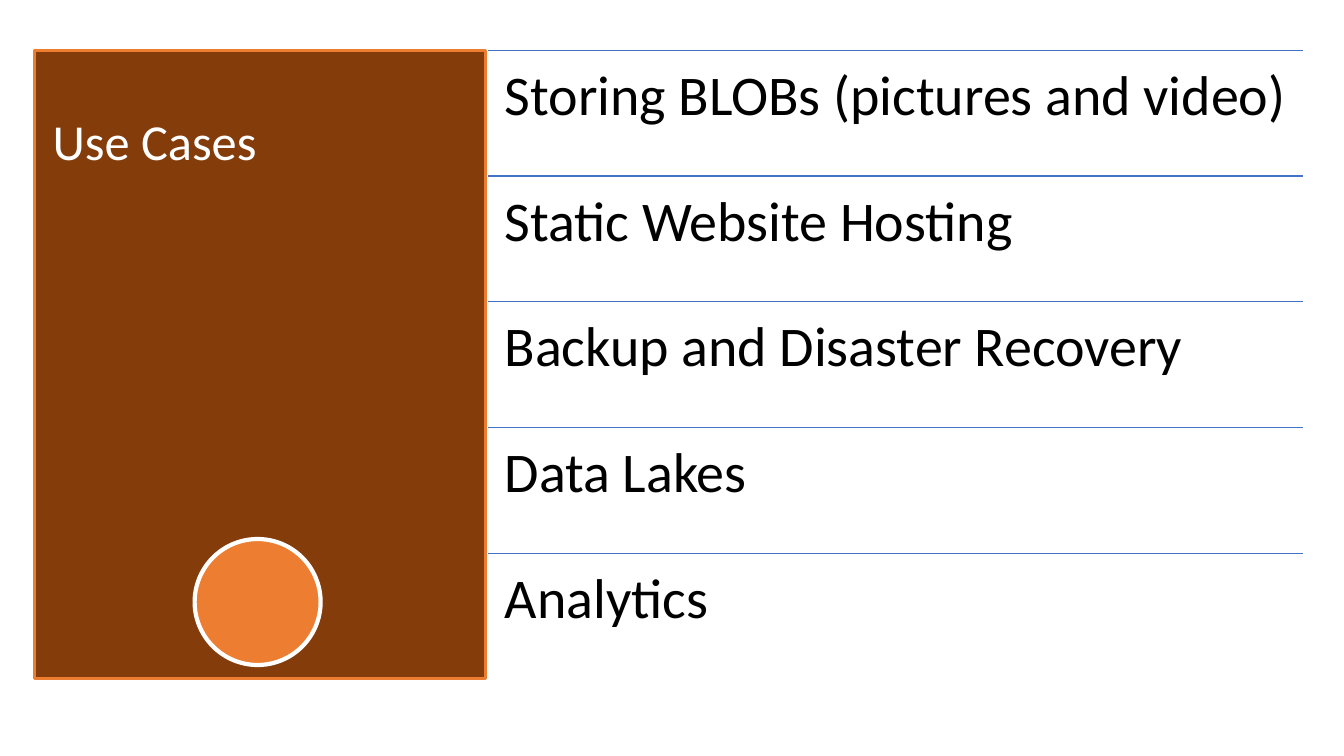
import pptx
import pptx.dml.color
import pptx.enum.shapes
import pptx.enum.text
import pptx.oxml.ns
import pptx.util
from dataclasses import dataclass
from lxml import etree

Pt = pptx.util.Pt
Shape = pptx.enum.shapes.MSO_SHAPE
Anchor = pptx.enum.text.MSO_ANCHOR


@dataclass(frozen=True)
class Theme:
    font: str = "Calibri"
    panel: str = "843C0B"
    accent: str = "ED7D31"
    light: str = "FFFFFF"
    dark: str = "000000"
    rule: str = "4472C4"
    title: int = 36
    item: int = 40


THEME = Theme()
CASES = [
    "Storing BLOBs (pictures and video)",
    "Static Website Hosting",
    "Backup and Disaster Recovery",
    "Data Lakes",
    "Analytics",
]


def paint(color):
    return pptx.dml.color.RGBColor.from_string(color)


def add_block(slide, kind, box, fill, line, weight):
    shape = slide.shapes.add_shape(kind, *map(Pt, box))
    shape.shadow.inherit = False
    shape.fill.solid()
    shape.fill.fore_color.rgb = paint(fill)
    shape.line.color.rgb = paint(line)
    shape.line.width = Pt(weight)


def add_text(slide, box, text, size, color, anchor, inset):
    """Place one line of text; inset is (side, top and bottom)."""
    frame = slide.shapes.add_textbox(*map(Pt, box)).text_frame
    frame.word_wrap = True
    frame.vertical_anchor = anchor
    frame.margin_left = frame.margin_right = Pt(inset[0])
    frame.margin_top = frame.margin_bottom = Pt(inset[1])
    line = frame.paragraphs[0]
    line.text = text
    line.line_spacing = 0.9
    line.font.name = THEME.font
    line.font.size = Pt(size)
    line.font.color.rgb = paint(color)


def add_rule(slide, left, top, width):
    rule = slide.shapes.add_connector(
        pptx.enum.shapes.MSO_CONNECTOR.STRAIGHT,
        Pt(left), Pt(top), Pt(left + width), Pt(top))
    rule.line.color.rgb = paint(THEME.rule)
    rule.line.width = Pt(1)
    props = rule.element.find(pptx.oxml.ns.qn("p:spPr"))
    etree.SubElement(props, pptx.oxml.ns.qn("a:effectLst"))


def add_panel(slide, box, title):
    """Draw the title panel with a disc near its foot."""
    left, top, width, height = box
    disc = 90
    add_block(slide, Shape.RECTANGLE, box, THEME.panel, THEME.accent, 2.25)
    add_block(slide, Shape.FLOWCHART_CONNECTOR,
              (left + 114.5, top + height - disc - 10, disc, disc),
              THEME.accent, THEME.light, 3)
    add_text(slide, (left + 6, top + 8, width - 15, 118), title,
             THEME.title, THEME.light, Anchor.MIDDLE, (7.2, 3.6))


def add_list(slide, box, items):
    """Stack the items in equal rows, each under a rule."""
    left, top, width, height = box
    row = height / len(items)
    for index, item in enumerate(items):
        y = top + index * row
        add_rule(slide, left, y, width)
        add_text(slide, (left, y, width, row), item,
                 THEME.item, THEME.dark, Anchor.TOP, (12, 12))


def main():
    deck = pptx.Presentation()
    deck.slide_width, deck.slide_height = Pt(960), Pt(540)
    slide = deck.slides.add_slide(deck.slide_layouts[6])
    add_panel(slide, (24.5, 36, 322.5, 449), "Use Cases")
    add_list(slide, (348.5, 36, 582.5, 449), CASES)
    deck.save("out.pptx")


if __name__ == "__main__":
    main()
